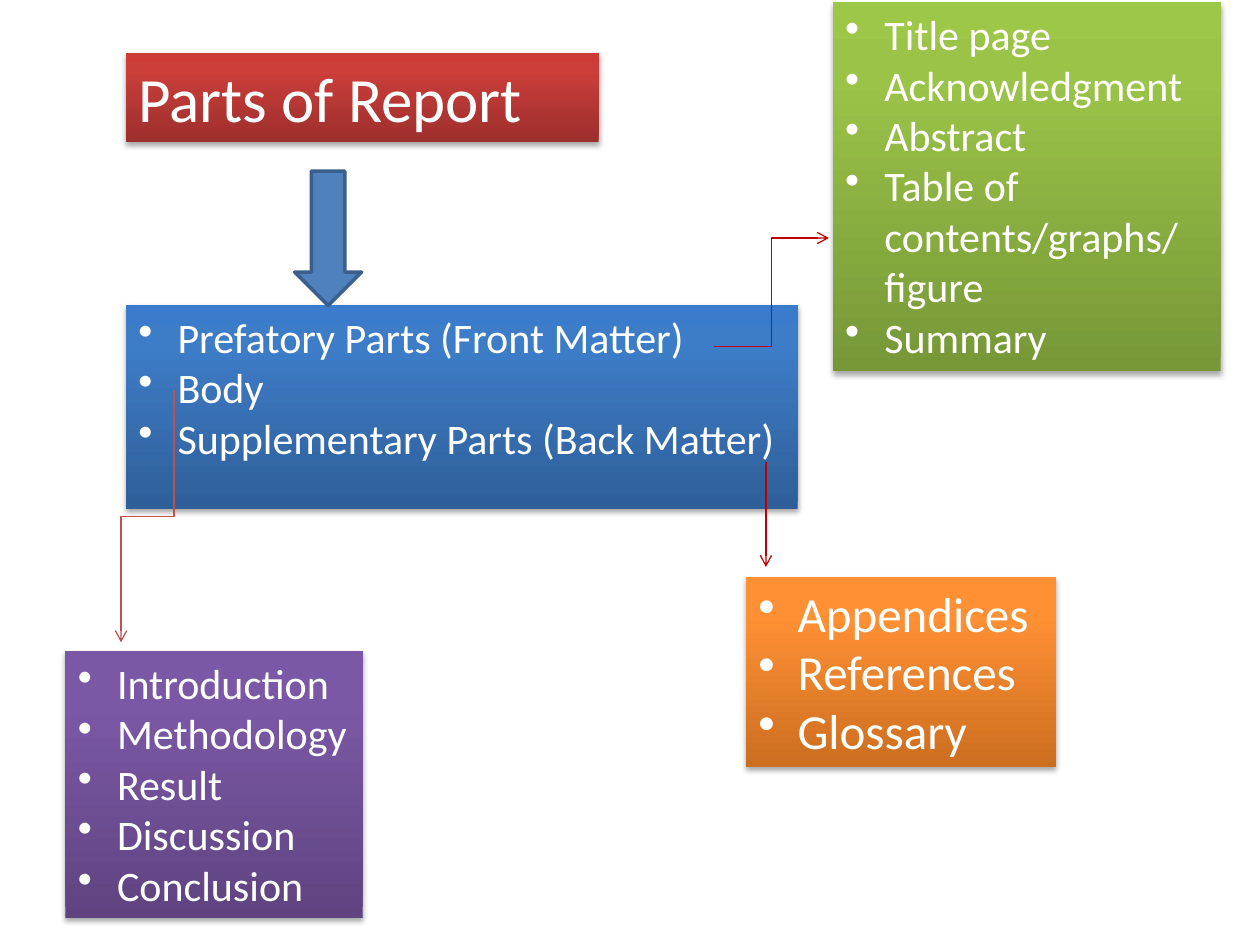
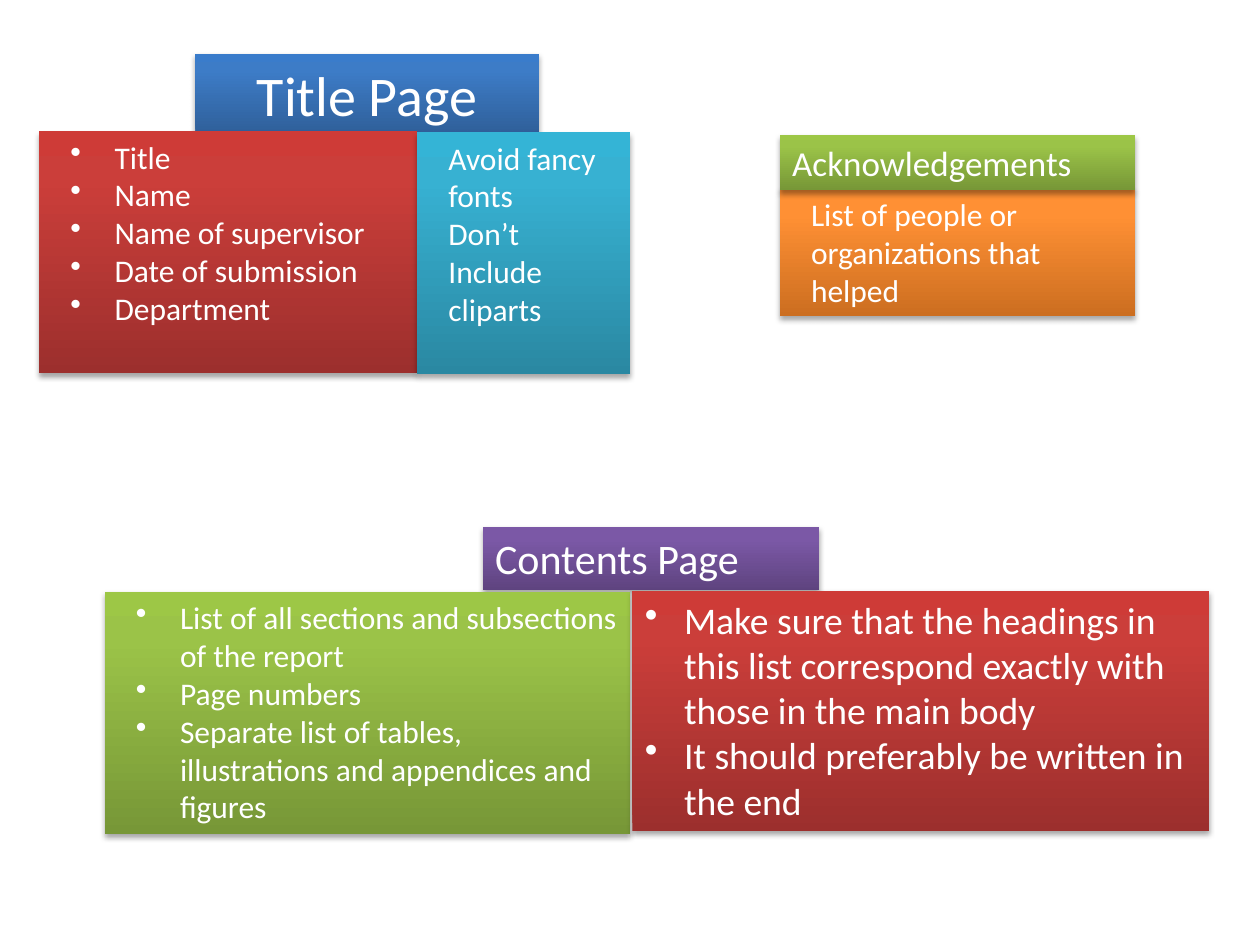
from lxml import etree
from copy import deepcopy
from pptx import Presentation
from pptx.dml.color import RGBColor
from pptx.enum.shapes import MSO_CONNECTOR, MSO_SHAPE
from pptx.enum.text import MSO_ANCHOR, PP_ALIGN
from pptx.oxml.ns import qn
from pptx.util import Cm, Pt

RECTANGLE = MSO_SHAPE.RECTANGLE
DOWN_ARROW = MSO_SHAPE.DOWN_ARROW
STRAIGHT = MSO_CONNECTOR.STRAIGHT
ELBOW = MSO_CONNECTOR.ELBOW
TOP = MSO_ANCHOR.TOP
LEFT = PP_ALIGN.LEFT
CENTER = PP_ALIGN.CENTER

FONT = "Calibri"
WHITE = "FFFFFF"
DARK_RED = "C00000"
SOFT_RED = "C0504D"
ARROW_FILL = "4F81BD"
ARROW_LINE = "3A5F8C"

BLUE = ("2F5F99", "3D7CC7", "3A7CCB")
RED = ("9C2F2D", "CB3E3A", "CE3B37")
GREEN = ("779737", "9BC348", "9DC746")
PURPLE = ("5F4480", "7B58A6", "7C57A8")
CYAN = ("2A88A2", "37B1D2", "34B4D6")
ORANGE = ("CC6E20", "FF9034", "FF9136")
STOP_POSITIONS = (0, 0.8, 1)

NARROW_INDENT = (0.79, 0.79)
WIDE_INDENT = (1.27, 0.89)


def rgb(hex_colour):
    return RGBColor.from_string(hex_colour)


def fill_gradient(shape, colours):
    shape.fill.gradient()
    shape.fill.gradient_angle = 90
    stop_list = shape._element.spPr.find(".//" + qn("a:gsLst"))
    stop_list.append(deepcopy(stop_list[-1]))
    for stop, position, colour in zip(shape.fill.gradient_stops, STOP_POSITIONS, colours):
        stop.position = position
        stop.color.rgb = rgb(colour)


def add_soft_shadow(shape):
    shape.shadow.inherit = False
    effects = shape._element.spPr.find(qn("a:effectLst"))
    shadow = etree.SubElement(effects, qn("a:outerShdw"), blurRad="40000",
                              dist="23000", dir="5400000", rotWithShape="0")
    colour = etree.SubElement(shadow, qn("a:srgbClr"), val="000000")
    etree.SubElement(colour, qn("a:alpha"), val="35000")


def indent_paragraph(paragraph, indent, bullet):
    margin, hanging = indent
    properties = paragraph._p.get_or_add_pPr()
    properties.set("marL", str(Cm(margin)))
    properties.set("indent", str(-Cm(hanging)))
    if bullet:
        etree.SubElement(properties, qn("a:buChar"), char="•")


def add_box(slide, place, colours, lines, size, align=LEFT, indent=None, bullet=False, wrap=True):
    shape = slide.shapes.add_shape(RECTANGLE, *map(Cm, place))
    fill_gradient(shape, colours)
    shape.line.fill.background()
    add_soft_shadow(shape)
    frame = shape.text_frame
    frame.word_wrap = wrap
    frame.vertical_anchor = TOP
    frame.text = "\n".join(lines)
    for paragraph in frame.paragraphs:
        paragraph.alignment = align
        if indent:
            indent_paragraph(paragraph, indent, bullet)
        for run in paragraph.runs:
            run.font.name = FONT
            run.font.size = Pt(size)
            run.font.color.rgb = rgb(WHITE)


def add_heading(slide, place, colours, text, size, align=LEFT):
    add_box(slide, place, colours, [text], size, align)


def add_bullets(slide, place, colours, lines, size, indent=NARROW_INDENT, wrap=True):
    add_box(slide, place, colours, lines, size, indent=indent, bullet=True, wrap=wrap)


def add_note(slide, place, colours, lines):
    add_box(slide, place, colours, lines, 18, indent=WIDE_INDENT)


def add_down_arrow(slide, place):
    shape = slide.shapes.add_shape(DOWN_ARROW, *map(Cm, place))
    shape.shadow.inherit = False
    shape.fill.solid()
    shape.fill.fore_color.rgb = rgb(ARROW_FILL)
    shape.line.color.rgb = rgb(ARROW_LINE)
    shape.line.width = Pt(2)


def quarter_turn_back(start, end):
    center_x, center_y = (start[0] + end[0]) / 2, (start[1] + end[1]) / 2
    return [(center_x + y - center_y, center_y - x + center_x) for x, y in (start, end)]


def add_arrow(slide, kind, start, end, colour, leaves_downward=False):
    if leaves_downward:
        start, end = quarter_turn_back(start, end)
    connector = slide.shapes.add_connector(kind, *map(Cm, (*start, *end)))
    connector.line.color.rgb = rgb(colour)
    connector.line.width = Pt(0.75)
    properties = connector._element.spPr
    if leaves_downward:
        properties.find(qn("a:xfrm")).set("rot", "5400000")
    etree.SubElement(properties.find(qn("a:ln")), qn("a:tailEnd"), type="arrow")
    etree.SubElement(properties, qn("a:effectLst"))


def build_report_parts(slide):
    add_bullets(slide, (2.54, 6.15, 13.54, 4.11), BLUE, [
        "Prefatory Parts (Front Matter)", "Body", "Supplementary Parts (Back Matter)"], 24)
    add_heading(slide, (2.54, 1.07, 9.53, 1.8), RED, "Parts of Report", 36)
    add_bullets(slide, (15.04, 11.63, 6.25, 3.84), ORANGE, [
        "Appendices", "References", "Glossary"], 28, wrap=False)
    add_bullets(slide, (1.32, 13.13, 5.99, 5.38), PURPLE, [
        "Introduction", "Methodology", "Result", "Discussion", "Conclusion"], 24, wrap=False)
    add_bullets(slide, (16.79, 0.05, 7.82, 7.44), GREEN, [
        "Title page", "Acknowledgment", "Abstract",
        "Table of contents/graphs/ figure", "Summary"], 24)
    add_down_arrow(slide, (5.94, 3.45, 1.35, 2.71))
    add_arrow(slide, ELBOW, (14.4, 6.99), (16.71, 4.8), DARK_RED)
    add_arrow(slide, STRAIGHT, (15.44, 9.32), (15.44, 11.43), DARK_RED)
    add_arrow(slide, ELBOW, (3.51, 7.87), (2.44, 12.95), SOFT_RED, leaves_downward=True)


def build_front_matter(slide):
    add_heading(slide, (3.94, 1.09, 6.93, 1.63), BLUE, "Title Page", 32, CENTER)
    add_bullets(slide, (0.79, 2.65, 7.62, 4.88), RED, [
        "Title", "Name", "Name of supervisor", "Date of submission", "Department"],
        18, WIDE_INDENT)
    add_note(slide, (8.41, 2.67, 4.29, 4.88), CYAN, [
        "Avoid fancy", "fonts", "Don’t", "Include", "cliparts"])
    add_heading(slide, (9.73, 10.62, 6.78, 1.27), PURPLE, "Contents Page", 24)
    add_bullets(slide, (2.11, 11.94, 10.59, 4.88), GREEN, [
        "List of all sections and subsections of the report",
        "Page numbers",
        "Separate list of tables, illustrations and appendices and figures"],
        18, WIDE_INDENT)
    add_note(slide, (15.72, 3.81, 7.16, 2.57), ORANGE, [
        "List of people or", "organizations that", "helped"])
    add_heading(slide, (15.72, 2.72, 7.16, 1.12), GREEN, "Acknowledgements", 20)
    add_bullets(slide, (12.75, 11.91, 11.63, 4.85), RED, [
        "Make sure that the headings in this list correspond exactly with those in the main body",
        "It should preferably be written in the end"], 21.5)


def main():
    presentation = Presentation()
    presentation.slide_width = Cm(25.4)
    presentation.slide_height = Cm(19.05)
    blank_layout = presentation.slide_layouts[6]
    for build in (build_report_parts, build_front_matter):
        build(presentation.slides.add_slide(blank_layout))
    presentation.save("out.pptx")


if __name__ == "__main__":
    main()
